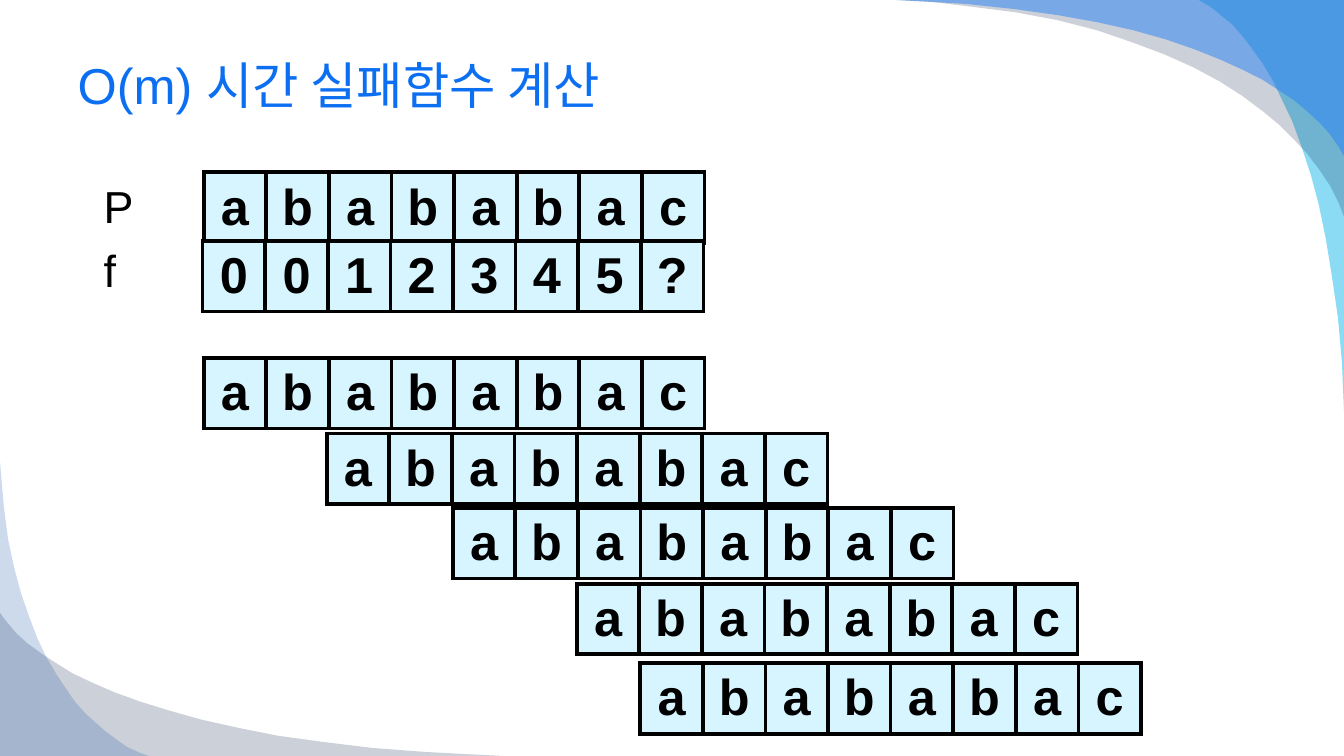
"""Build the slide on computing the KMP failure function in O(m) time."""
from lxml.etree import SubElement
from pptx import Presentation
from pptx.dml.color import RGBColor
from pptx.enum.text import MSO_ANCHOR as Anchor, MSO_AUTO_SIZE as Fit, PP_ALIGN as Align
from pptx.oxml.ns import qn
from pptx.util import Inches, Pt

BLACK = RGBColor(0x00, 0x00, 0x00)
TITLE = RGBColor(0x0C, 0x6F, 0xF2)
PALE = RGBColor(0xD7, 0xF5, 0xFF)
CYAN = RGBColor(0x00, 0xB1, 0xE9)
NAVY = RGBColor(0x02, 0x17, 0x41)
BLUE = RGBColor(0x24, 0x7F, 0xF4)
DEEP = RGBColor(0x08, 0x4A, 0xA1)


def write(frame, text, size=36, color=BLACK, bold=False, align=Align.LEFT):
    para = frame.paragraphs[0]
    para.alignment = align
    run = para.add_run()
    run.text = text
    font = run.font
    font.name = "Arial"
    font.size = Pt(size)
    font.bold = bold
    font.color.rgb = color


def add_row(shapes, text, left, top):
    frame = shapes.add_table(1, len(text), Inches(left), Inches(top), Inches(4.97), Inches(0.7))
    table = frame.table
    table.first_row = False
    table.horz_banding = False
    for cell, char in zip(table.rows[0].cells, text):
        props = cell._tc.get_or_add_tcPr()
        for side in ("lnL", "lnR", "lnT", "lnB"):
            line = SubElement(props, qn(f"a:{side}"), w=str(Pt(3)))
            fill = SubElement(line, qn("a:solidFill"))
            SubElement(fill, qn("a:srgbClr"), val=str(BLACK))
        cell.fill.solid()
        cell.fill.fore_color.rgb = PALE
        cell.vertical_anchor = Anchor.MIDDLE
        write(cell.text_frame, char, bold=True, align=Align.CENTER)


prs = Presentation()
prs.slide_width = Inches(13.33)
prs.slide_height = Inches(7.5)
slide = prs.slides.add_slide(prs.slide_layouts[5])
shapes = slide.shapes

waves = [
    (CYAN, 45, [
        (13.33, 4.08), (13.33, 0), (11.89, 0), (12.01, 0.07), (12.12, 0.16), (12.23, 0.25),
        (12.34, 0.38), (12.43, 0.5), (12.53, 0.64), (12.63, 0.81), (12.72, 1), (12.82, 1.21),
        (12.91, 1.46), (13, 1.73), (13.08, 2.03), (13.15, 2.37), (13.21, 2.74), (13.27, 3.15),
        (13.31, 3.6)]),
    (NAVY, 20, [
        (8.89, 0), (13.33, 0), (13.33, 2.15), (13.28, 2.02), (13.19, 1.84), (13.09, 1.69),
        (12.96, 1.52), (12.83, 1.38), (12.69, 1.24), (12.52, 1.1), (12.32, 0.95), (12.1, 0.81),
        (11.84, 0.67), (11.55, 0.54), (11.23, 0.42), (10.88, 0.3), (10.49, 0.2), (10.06, 0.12),
        (9.58, 0.06), (9.25, 0.02)]),
    (BLUE, 49, [
        (8.89, 0), (13.33, 0), (13.33, 1.55), (13.28, 1.46), (13.19, 1.33), (13.09, 1.22),
        (12.96, 1.1), (12.84, 1), (12.69, 0.9), (12.52, 0.79), (12.32, 0.69), (12.1, 0.59),
        (11.85, 0.49), (11.56, 0.39), (11.24, 0.3), (10.88, 0.22), (10.49, 0.15), (10.06, 0.09),
        (9.59, 0.04), (9.25, 0.02)]),
    (NAVY, 20, [
        (5, 7.5), (0, 7.5), (0, 6.08), (0.06, 6.16), (0.16, 6.28), (0.27, 6.38),
        (0.42, 6.49), (0.56, 6.58), (0.72, 6.68), (0.91, 6.77), (1.14, 6.87), (1.39, 6.96),
        (1.68, 7.05), (2, 7.14), (2.36, 7.22), (2.76, 7.3), (3.2, 7.36), (3.69, 7.42),
        (4.22, 7.46), (4.6, 7.48)]),
    (DEEP, 20, [
        (0, 4.58), (0, 7.5), (1.48, 7.5), (1.39, 7.47), (1.26, 7.41), (1.16, 7.34),
        (1.04, 7.25), (0.95, 7.17), (0.85, 7.08), (0.75, 6.97), (0.66, 6.84), (0.56, 6.69),
        (0.46, 6.52), (0.37, 6.33), (0.29, 6.12), (0.21, 5.89), (0.14, 5.63), (0.08, 5.35),
        (0.04, 5.04), (0.02, 4.82)]),
]
for color, alpha, points in waves:
    dots = [(Inches(x), Inches(y)) for x, y in points]
    path = shapes.build_freeform(*dots[0])
    path.add_line_segments(dots[1:])
    wave = path.convert_to_shape()
    wave.shadow.inherit = False
    wave.line.fill.background()
    wave.fill.solid()
    wave.fill.fore_color.rgb = color
    tint = wave.element.spPr.find(f".//{qn('a:srgbClr')}")
    SubElement(tint, qn("a:alpha"), val=str(alpha * 1000))

title = shapes.title
title.left, title.top = Inches(0.67), Inches(0.33)
title.width, title.height = Inches(12), Inches(1.01)
title.text_frame.auto_size = Fit.NONE
title.text_frame.vertical_anchor = Anchor.MIDDLE
write(title.text_frame, "O(m) 시간 실패함수 계산", color=TITLE)
shapes.element.append(title.element)

word = "abababac"
add_row(shapes, word, 2.02, 1.71)
add_row(shapes, "0012345?", 2.01, 2.39)
for left, top in [(2.02, 3.55), (3.24, 4.3), (4.49, 5.04), (5.72, 5.79), (6.35, 6.58)]:
    add_row(shapes, word, left, top)

for row, label in enumerate("Pf"):
    box = shapes.add_textbox(Inches(0.93), Inches(1.72 + 0.64 * row), Inches(0.68), Inches(0.64))
    box.text_frame.word_wrap = True
    box.text_frame.auto_size = Fit.SHAPE_TO_FIT_TEXT
    write(box.text_frame, label, size=32)

prs.save("out.pptx")
